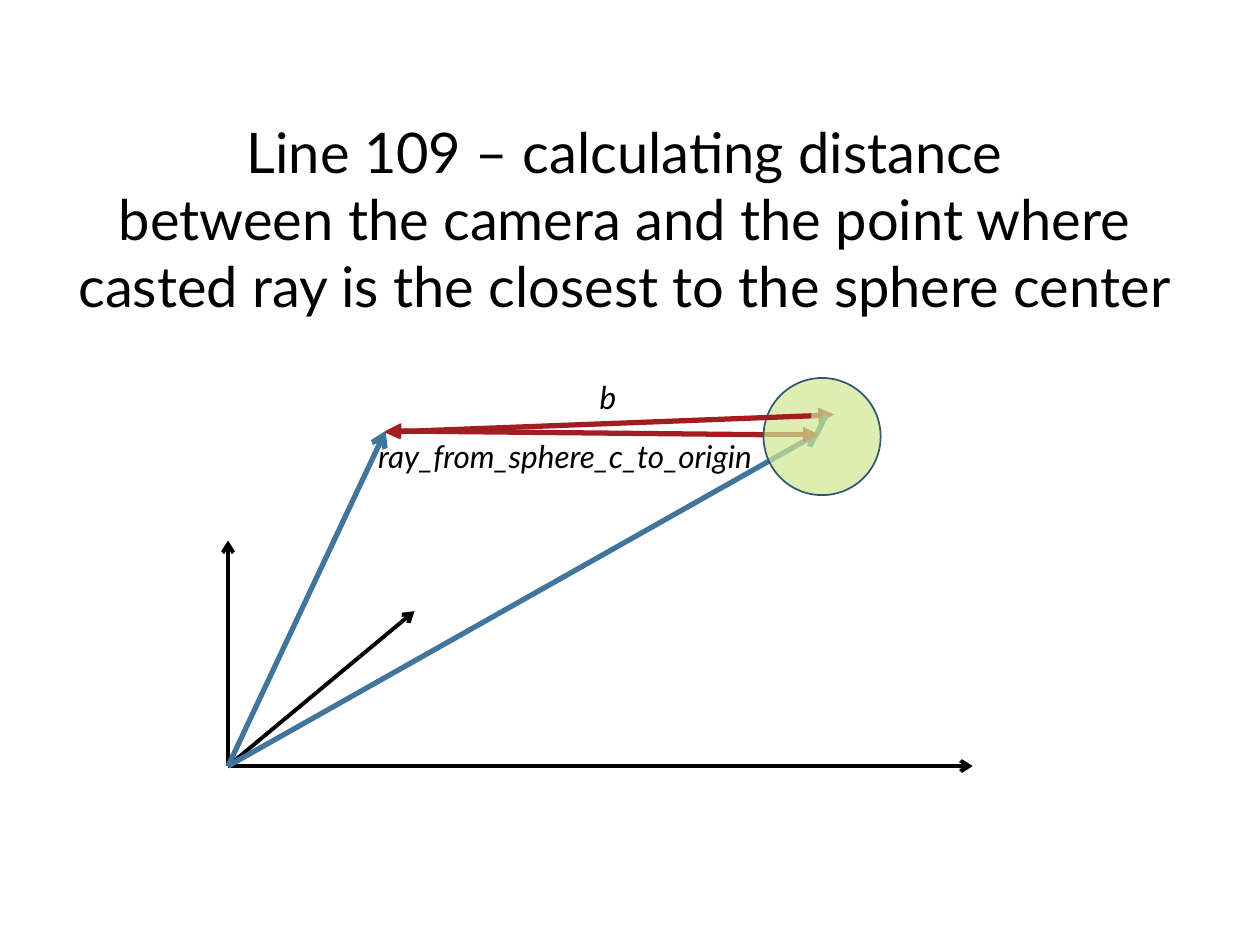
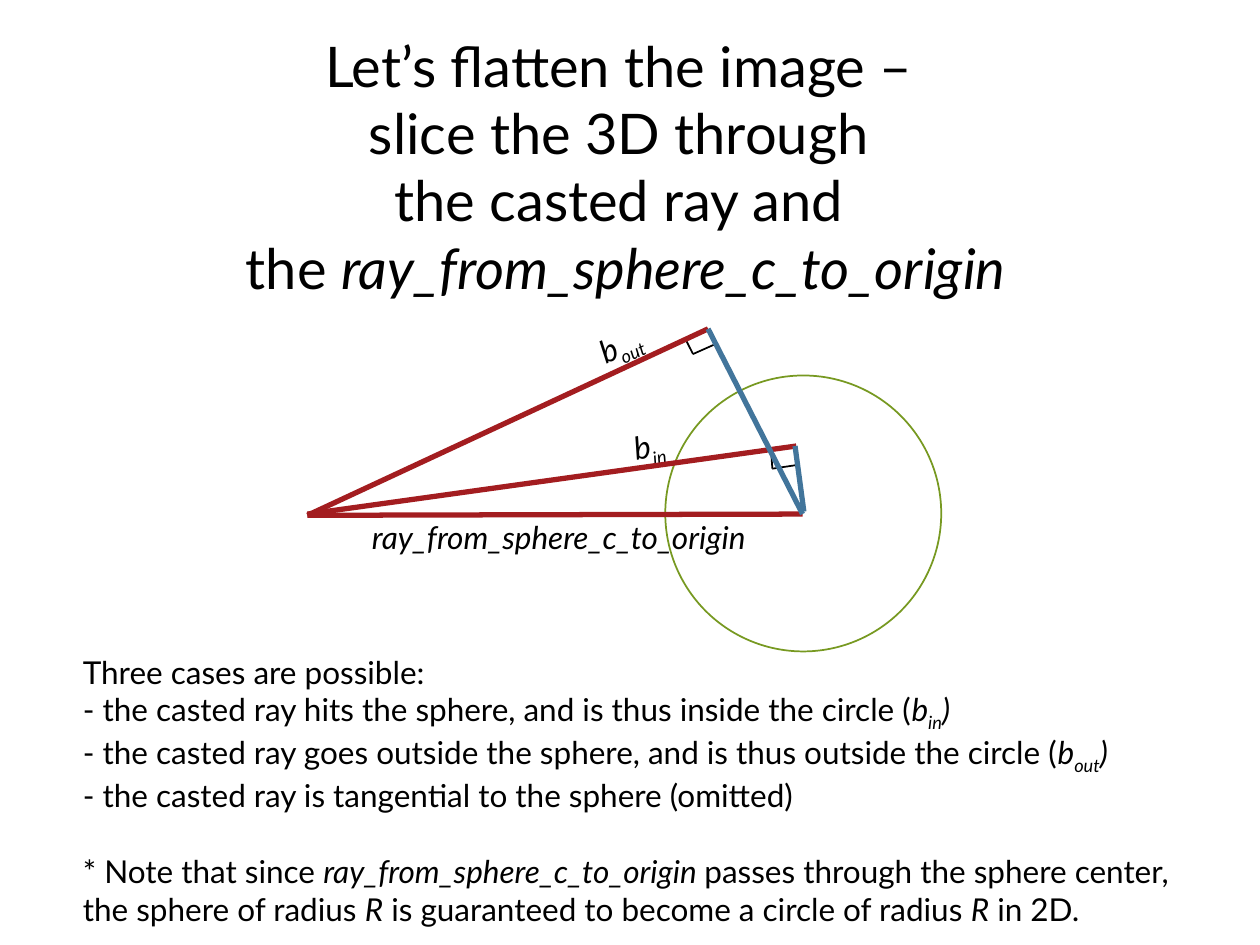
from lxml import etree
from pptx import Presentation
from pptx.dml.color import RGBColor
from pptx.enum.shapes import MSO_CONNECTOR as Connector, MSO_SHAPE as Shape
from pptx.enum.text import MSO_AUTO_SIZE as AutoSize, PP_ALIGN as Align
from pptx.oxml.ns import qn
from pptx.util import Emu, Pt

# Shared style: 100 px to the inch
SCALE = 9144
FONT = "Lato"
TITLE_SIZE, BODY_SIZE = 32, 18
BLACK, BLUE, RED = "000000", "42759B", "A31D20"
WHITE, PALE_GREEN, GREEN, NAVY = "FFFFFF", "D0E894", "779921", "315773"
RAY_NAME = "ray_from_sphere_c_to_origin"


def add_line(page, start, end, color, width, head=None, tail=None):
    """Draw a straight line; head is the arrow at start, tail the one at end."""
    ends = [Emu(value * SCALE) for value in (*start, *end)]
    line = page.shapes.add_connector(Connector.STRAIGHT, *ends)
    line.line.color.rgb = RGBColor.from_string(color)
    line.line.width = Pt(width)
    outline = line.line._get_or_add_ln()
    for tag, arrow in (("a:headEnd", head), ("a:tailEnd", tail)):
        if arrow:
            etree.SubElement(outline, qn(tag)).set("type", arrow)
    etree.SubElement(line._element.spPr, qn("a:effectLst"))


def add_text(page, place, paragraphs, size=BODY_SIZE, align=Align.LEFT, rotation=0):
    """Each paragraph is a list of (text, style); style holds i (italic) and s (subscript)."""
    box = page.shapes.add_textbox(*[Emu(value * SCALE) for value in place])
    box.rotation = rotation
    frame = box.text_frame
    frame.word_wrap = True
    frame.auto_size = AutoSize.SHAPE_TO_FIT_TEXT
    for index, spans in enumerate(paragraphs):
        para = frame.paragraphs[0] if index == 0 else frame.add_paragraph()
        para.alignment = align
        for text, style in spans:
            for row, piece in enumerate(text.split("\n")):
                if row:
                    para.add_line_break()
                span = para.add_run()
                span.text = piece
                span.font.name = FONT
                span.font.size = Pt(size)
                span.font.italic = "i" in style
                span.font.color.rgb = RGBColor.from_string(BLACK)
                if "s" in style:
                    span._r.get_or_add_rPr().set("baseline", "-25000")
    return frame


deck = Presentation()
deck.slide_width, deck.slide_height = Emu(1000 * SCALE), Emu(750 * SCALE)
blank = deck.slide_layouts[6]
pages = [deck.slides.add_slide(blank) for _ in range(2)]
space_page, flat_page = pages

# Slide 1: axes, then vectors to the camera and the sphere
origin, camera, center = (181, 608), (306, 342), (612, 365)
for axis_end in ((772, 608), (181, 429), (329, 485)):
    add_line(space_page, origin, axis_end, BLACK, 2.25, tail="arrow")
add_line(space_page, origin, camera, BLUE, 3, tail="arrow")
add_line(space_page, center, (651, 343), BLUE, 3, tail="arrow")
add_line(space_page, origin, center, BLUE, 3)

# Ray from the sphere center, and the parts seen through the sphere
add_line(space_page, (606, 345), camera, RED, 3, tail="triangle")
add_line(space_page, (650, 345), (606, 345), RED, 3, head="triangle")
add_line(space_page, (644, 330), (662, 329), RED, 3, tail="triangle")
add_line(space_page, (648, 345), (656, 329), BLUE, 3)

# Sphere on slide 1 and its flat circle on slide 2
for page, left, top, size, fill, outline, opacity in (
    (space_page, 606, 300, 93, PALE_GREEN, NAVY, 70),
    (flat_page, 528, 298, 219, WHITE, GREEN, 100),
):
    sphere = page.shapes.add_shape(
        Shape.OVAL, *[Emu(value * SCALE) for value in (left, top, size, size)])
    sphere.shadow.inherit = False
    sphere.fill.solid()
    sphere.fill.fore_color.rgb = RGBColor.from_string(fill)
    sphere.line.color.rgb = RGBColor.from_string(outline)
    sphere.line.width = Pt(1)
    if opacity < 100:
        fill_color = sphere._element.spPr.find(".//" + qn("a:srgbClr"))
        etree.SubElement(fill_color, qn("a:alpha")).set("val", str(opacity * 1000))

# Distance b, labels and title of slide 1
add_line(space_page, (305, 343), (644, 330), RED, 3, head="triangle")
add_text(space_page, (466, 295, 35, 40), [[("b", "i")]])
add_text(space_page, (278, 342, 341, 40), [[(RAY_NAME, "i")]], align=Align.CENTER)
add_text(space_page, (47, 88, 898, 172), [[(
    "Line 109 – calculating distance\n"
    "between the camera and the point where\n"
    "casted ray is the closest to the sphere center", "")]],
    TITLE_SIZE, Align.CENTER)

# Slide 2: labels and title
for place, subscript, rotation in (
    ((493, 333, 49, 40), "in", 349.1),
    ((465, 252, 60, 40), "out", 335.2),
):
    add_text(flat_page, place, [[("b", "i"), (subscript, "is")]], rotation=rotation)
add_text(flat_page, (276, 406, 335, 40), [[(RAY_NAME, "i")]], align=Align.CENTER)
add_text(flat_page, (169, 20, 656, 226), [[
    ("Let’s flatten the image – \nslice the 3D through \nthe casted ray and \nthe ", ""),
    (RAY_NAME, "i")]], TITLE_SIZE, Align.CENTER)

# Rays, distances to the center and right-angle marks
eye, middle = (244, 409), (637, 408)
inner, outer = (632, 354), (562, 261)
add_line(flat_page, middle, eye, RED, 3)
add_line(flat_page, (244, 408), inner, RED, 3)
for mark in (((612, 358), (613, 372), (633, 369)), ((544, 269), (550, 281), (568, 273))):
    for start, end in zip(mark, mark[1:]):
        add_line(flat_page, start, end, BLACK, 1)
add_line(flat_page, (638, 406), (631, 354), BLUE, 3)
add_line(flat_page, eye, outer, RED, 3)
add_line(flat_page, middle, outer, BLUE, 3)

# Cases and note
notes = add_text(flat_page, (56, 513, 910, 222), [
    [("Three cases are possible:", "")],
    [("- the casted ray hits the sphere, and is thus inside the circle (", ""),
     ("b", "i"), ("in", "is"), (")", "i")],
    [("- the casted ray goes outside the sphere, and is thus outside the circle (", ""),
     ("b", "i"), ("out", "is"), (")", "i")],
    [("- the casted ray is tangential to the sphere (omitted)", "")],
    [("* Note that since ", ""), (RAY_NAME + " ", "i"),
     ("passes through the sphere center,\nthe sphere of radius ", ""), ("R", "i"),
     (" is guaranteed to become a circle of radius ", ""), ("R", "i"),
     (" in 2D", ""), (".", "i")],
])
notes.paragraphs[-1].space_before = Pt(21.6)

deck.save("out.pptx")
